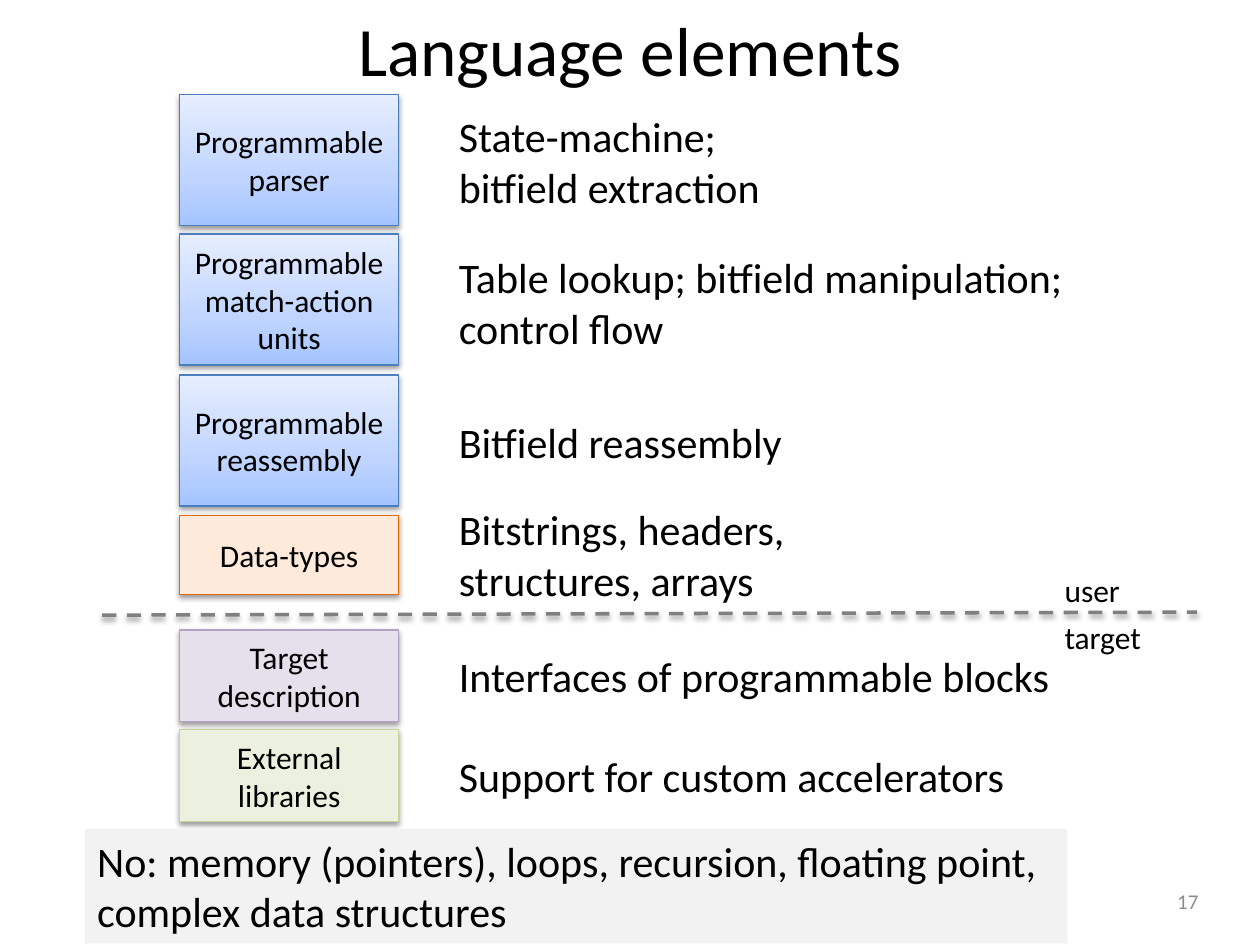
from copy import deepcopy

from pptx import Presentation
from pptx.dml.color import RGBColor
from pptx.enum.dml import MSO_LINE
from pptx.enum.shapes import MSO_CONNECTOR, MSO_SHAPE
from pptx.enum.text import MSO_ANCHOR as Anchor, PP_ALIGN as Align
from pptx.oxml.ns import qn
from pptx.util import Cm, Pt
from lxml.etree import SubElement

BLACK = RGBColor(0x00, 0x00, 0x00)
GREY = RGBColor(0x80, 0x80, 0x80)
NUMBER_GREY = RGBColor(0x8C, 0x8C, 0x8C)
PANEL = RGBColor(0xF2, 0xF2, 0xF2)
BLUE_LINE = RGBColor(0x4B, 0x7E, 0xBC)
BLUE_STOPS = [
    (0, RGBColor(0xA4, 0xC4, 0xFF)),
    (0.35, RGBColor(0xBF, 0xD4, 0xFF)),
    (1, RGBColor(0xE6, 0xEE, 0xFF)),
]
ORANGE_FILL = RGBColor(0xFD, 0xEA, 0xDA)
ORANGE_LINE = RGBColor(0xE4, 0x6C, 0x0A)
PURPLE_FILL = RGBColor(0xE6, 0xE0, 0xEC)
PURPLE_LINE = RGBColor(0xB3, 0xA2, 0xC7)
GREEN_FILL = RGBColor(0xEB, 0xF1, 0xDE)
GREEN_LINE = RGBColor(0xC3, 0xD6, 0x9B)

BLOCK_LEFT, BLOCK_WIDTH = 3.62, 4.42
NOTE_LEFT = 9.0
LINE_1, LINE_2 = 1.27, 2.31

BLOCKS = [
    ("Programmable\nparser", 1.91, 2.64, BLUE_STOPS, BLUE_LINE),
    ("Programmable\nmatch-action\nunits", 4.72, 2.64, BLUE_STOPS, BLUE_LINE),
    ("Programmable\nreassembly", 7.56, 2.64, BLUE_STOPS, BLUE_LINE),
    ("Data-types", 10.39, 1.6, ORANGE_FILL, ORANGE_LINE),
    ("Target\ndescription", 12.7, 1.85, PURPLE_FILL, PURPLE_LINE),
    ("External libraries", 14.71, 1.85, GREEN_FILL, GREEN_LINE),
]
NOTES = [
    ("State-machine;\vbitfield extraction", 2.11, 6.68, LINE_2),
    ("Table lookup; bitfield manipulation;\vcontrol flow", 4.95, 13, LINE_2),
    ("Bitfield reassembly", 8.28, 7.11, LINE_1),
    ("Bitstrings, headers,\vstructures, arrays", 10.03, 7.14, LINE_2),
    ("Interfaces of programmable blocks", 12.98, 12.52, LINE_1),
    ("Support for custom accelerators", 15.01, 11.79, LINE_1),
]


def write(sp, text, size, color=BLACK, align=Align.LEFT, anchor=Anchor.TOP):
    tf = sp.text_frame
    tf.word_wrap = True
    tf.vertical_anchor = anchor
    tf.text = text
    font_format = {"name": "Calibri", "size": Pt(size)}
    for p in tf.paragraphs:
        p.alignment = align
        for r in p.runs:
            for key, value in font_format.items():
                setattr(r.font, key, value)
            r.font.color.rgb = color


def add_text(s, text, left, top, width, height, size, **style):
    sp = s.shapes.add_textbox(Cm(left), Cm(top), Cm(width), Cm(height))
    write(sp, text, size, **style)
    return sp


def add_shadow(sp):
    spPr = sp._element.spPr
    effects = spPr.find(qn("a:effectLst"))
    if effects is None:
        effects = SubElement(spPr, qn("a:effectLst"))
    shadow = SubElement(effects, qn("a:outerShdw"), blurRad="40000",
                        dist="20000", dir="5400000", rotWithShape="0")
    color = SubElement(shadow, qn("a:srgbClr"), val="000000")
    SubElement(color, qn("a:alpha"), val="38000")


def fill_gradient(sp, stops):
    sp.fill.gradient()
    sp.fill.gradient_angle = 90
    stop_list = sp._element.spPr.find(".//" + qn("a:gsLst"))
    stop_list.append(deepcopy(stop_list[0]))
    for stop, (position, color) in zip(sp.fill.gradient_stops, stops):
        stop.position = position
        stop.color.rgb = color


def add_block(s, text, top, height, fill, line):
    sp = s.shapes.add_shape(MSO_SHAPE.RECTANGLE, Cm(BLOCK_LEFT), Cm(top),
                            Cm(BLOCK_WIDTH), Cm(height))
    if isinstance(fill, list):
        fill_gradient(sp, fill)
    else:
        sp.fill.solid()
        sp.fill.fore_color.rgb = fill
    sp.line.color.rgb = line
    sp.line.width = Pt(0.75)
    sp.shadow.inherit = False
    add_shadow(sp)
    write(sp, text, 18, align=Align.CENTER, anchor=Anchor.MIDDLE)


def add_divider(s):
    line = s.shapes.add_connector(MSO_CONNECTOR.STRAIGHT, Cm(2.06), Cm(12.4),
                                  Cm(24.13), Cm(12.34))
    line.line.color.rgb = GREY
    line.line.width = Pt(2)
    line.line.dash_style = MSO_LINE.DASH
    add_shadow(line)


def main():
    prs = Presentation()
    prs.slide_width, prs.slide_height = Cm(25.4), Cm(19.05)
    s = prs.slides.add_slide(prs.slide_layouts[6])

    add_text(s, "Language elements", 1.27, 0, 22.86, 1.96, 39.6,
             align=Align.CENTER, anchor=Anchor.MIDDLE)
    for block in BLOCKS:
        add_block(s, *block)
    for text, top, width, height in NOTES:
        add_text(s, text, NOTE_LEFT, top, width, height, 24)

    add_divider(s)
    for text, top in (("user", 11.38), ("target", 12.34)):
        add_text(s, text, 21.21, top, 2.2, 1.02, 18)

    panel = add_text(s, "No: memory (pointers), loops, recursion, floating point,"
                     "\vcomplex data structures", 1.71, 16.71, 19.81, LINE_2, 24)
    panel.fill.solid()
    panel.fill.fore_color.rgb = PANEL
    add_text(s, "17", 21.77, 17.65, 2.64, 1.02, 12, color=NUMBER_GREY,
             align=Align.RIGHT, anchor=Anchor.MIDDLE)
    prs.save("out.pptx")


if __name__ == "__main__":
    main()
